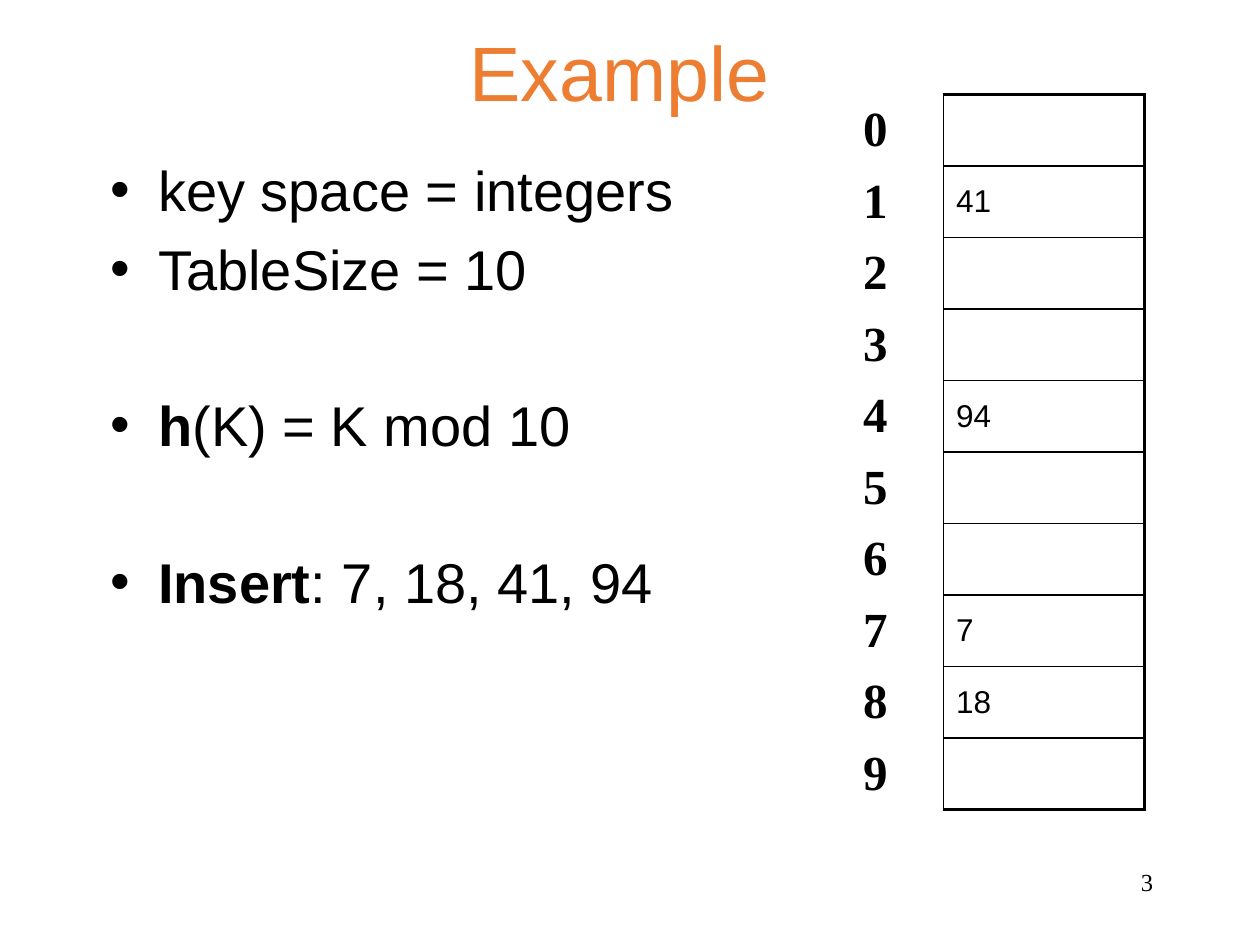
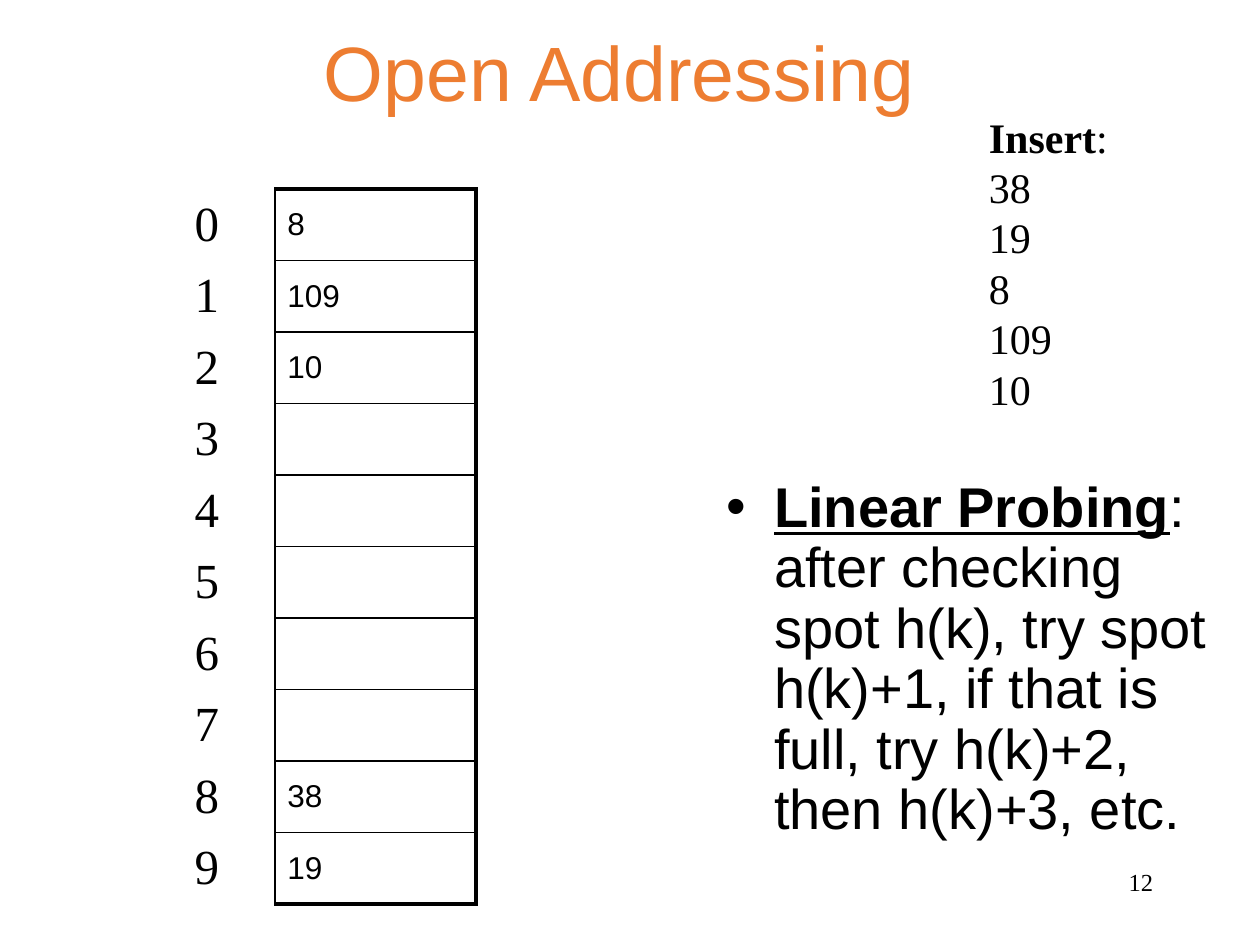
from dataclasses import dataclass

from lxml import etree
from pptx import Presentation
from pptx import util as u
from pptx.dml.color import RGBColor
from pptx.enum import text
from pptx.oxml import ns

COLORS = {"title": "ED7D31", "ink": "000000"}
SANS, SERIF = "Arial", "Times New Roman"
WIDTH, HEIGHT = u.Inches(10), u.Inches(7.5)
COLUMNS, ROWS = 120, 90
SLOT_ROWS = 6.8
INDEX_COLUMNS, KEY_COLUMNS = 8.85, 19.15
THIN, THICK = 1, 2.25


def col(count: float) -> int:
    return round(WIDTH * count / COLUMNS)


def row(count: float) -> int:
    return round(HEIGHT * count / ROWS)


@dataclass(frozen=True)
class Area:
    left: float
    top: float
    width: float
    height: float

    def emu(self) -> tuple[int, int, int, int]:
        return col(self.left), row(self.top), col(self.width), row(self.height)


@dataclass(frozen=True)
class Style:
    font: str
    size: float
    color: str = "ink"
    align: text.PP_ALIGN = text.PP_ALIGN.LEFT
    anchor: text.MSO_ANCHOR = text.MSO_ANCHOR.TOP
    bullet: bool = False
    wrap: bool = True


@dataclass(frozen=True)
class Run:
    words: str
    bold: bool = False
    underline: bool = False


@dataclass(frozen=True)
class Line:
    runs: tuple[Run, ...]
    before: float = 0
    spacing: float = 1


@dataclass(frozen=True)
class HashTable:
    left: float
    top: float
    keys: dict[int, int]
    bold_index: bool = False
    slots: int = 10


TITLE_AREA = Area(8, 2.25, 102, 9)
NUMBER_AREA = Area(86, 82, 25, 6)
TITLE = Style(SANS, 44, "title", text.PP_ALIGN.CENTER, text.MSO_ANCHOR.MIDDLE)
NUMBER = Style(SERIF, 14, align=text.PP_ALIGN.RIGHT)
BODY = Style(SANS, 32, bullet=True)
INSERTS = Style(SERIF, 24, wrap=False)
INDEX = Style(SERIF, 28)
KEY = Style(SANS, 18)


def add_bullet(paragraph) -> None:
    properties = paragraph._p.get_or_add_pPr()
    indent = u.Inches(0.38)
    properties.set("marL", str(indent))
    properties.set("indent", str(-indent))
    color = etree.SubElement(properties, ns.qn("a:buClr"))
    etree.SubElement(color, ns.qn("a:srgbClr"), val=COLORS["ink"])
    etree.SubElement(properties, ns.qn("a:buFont"), typeface=SANS)
    etree.SubElement(properties, ns.qn("a:buChar"), char="•")


def write(frame, lines: list[Line], style: Style) -> None:
    for position, line in enumerate(lines):
        paragraph = frame.add_paragraph() if position else frame.paragraphs[0]
        if style.bullet:
            add_bullet(paragraph)
        paragraph.alignment = style.align
        paragraph.line_spacing = line.spacing
        if line.before:
            paragraph.space_before = u.Pt(line.before)
        for part in line.runs:
            run = paragraph.add_run()
            run.text = part.words
            run.font.name = style.font
            run.font.size = u.Pt(style.size)
            run.font.bold = part.bold
            run.font.underline = part.underline
            run.font.color.rgb = RGBColor.from_string(COLORS[style.color])


def add_text(slide, area: Area, lines: list[Line], style: Style) -> None:
    frame = slide.shapes.add_textbox(*area.emu()).text_frame
    frame.word_wrap = style.wrap
    frame.vertical_anchor = style.anchor
    write(frame, lines, style)


def set_borders(cell, left: float, right: float, top: float, bottom: float) -> None:
    properties = cell._tc.get_or_add_tcPr()
    for side, width in zip("LRTB", (left, right, top, bottom)):
        border = etree.SubElement(properties, ns.qn(f"a:ln{side}"), w=str(u.Pt(width)))
        if width:
            fill = etree.SubElement(border, ns.qn("a:solidFill"))
            etree.SubElement(fill, ns.qn("a:srgbClr"), val=COLORS["ink"])
        else:
            etree.SubElement(border, ns.qn("a:noFill"))
    cell.fill.background()


def add_hash_table(slide, plan: HashTable) -> None:
    area = Area(plan.left, plan.top, INDEX_COLUMNS + KEY_COLUMNS, SLOT_ROWS * plan.slots)
    table = slide.shapes.add_table(plan.slots, 2, *area.emu()).table
    table.first_row = table.horz_banding = False
    table.columns[0].width = col(INDEX_COLUMNS)
    table.columns[1].width = col(KEY_COLUMNS)
    last = plan.slots - 1
    for slot in range(plan.slots):
        table.rows[slot].height = row(SLOT_ROWS)
        index_cell, key_cell = table.cell(slot, 0), table.cell(slot, 1)
        set_borders(index_cell, 0, THIN, 0, 0)
        set_borders(key_cell, THIN, THICK, THIN if slot else THICK,
                    THICK if slot == last else THIN)
        for cell in (index_cell, key_cell):
            cell.vertical_anchor = text.MSO_ANCHOR.MIDDLE
        write(index_cell.text_frame, [Line((Run(str(slot), plan.bold_index),))], INDEX)
        if slot in plan.keys:
            write(key_cell.text_frame, [Line((Run(str(plan.keys[slot])),))], KEY)


def start_slide(deck, title: str, number: int):
    slide = deck.slides.add_slide(deck.slide_layouts[6])
    add_text(slide, NUMBER_AREA, [Line((Run(str(number)),))], NUMBER)
    add_text(slide, TITLE_AREA, [Line((Run(title),))], TITLE)
    return slide


def build_example(deck) -> None:
    slide = start_slide(deck, "Example", 3)
    near, far = 6.4, 51
    facts = [
        Line((Run("key space = integers"),)),
        Line((Run("TableSize = 10"),), near),
        Line((Run("h", bold=True), Run("(K) = K mod 10")), far),
        Line((Run("Insert", bold=True), Run(": 7, 18, 41, 94")), far),
    ]
    add_text(slide, Area(9.33, 14.25, 102, 12.75), facts, BODY)
    add_hash_table(slide, HashTable(81, 9, {1: 41, 4: 94, 7: 7, 8: 18}, bold_index=True))


def build_open_addressing(deck) -> None:
    slide = start_slide(deck, "Open Addressing", 12)
    probing = Line((
        Run("Linear Probing", bold=True, underline=True),
        Run(": after checking spot h(k), try spot h(k)+1, if that is full, "
            "try h(k)+2, then h(k)+3, etc."),
    ), spacing=0.9)
    add_text(slide, Area(68, 45, 49, 36), [probing], BODY)
    add_hash_table(slide, HashTable(17.33, 18, {0: 8, 1: 109, 2: 10, 8: 38, 9: 19}))
    inserts = [Line((Run("Insert", bold=True), Run(":")))]
    inserts += [Line((Run(str(key)),)) for key in (38, 19, 8, 109, 10)]
    add_text(slide, Area(93, 10, 16.33, 30), inserts, INSERTS)


def main() -> None:
    deck = Presentation()
    deck.slide_width, deck.slide_height = WIDTH, HEIGHT
    build_example(deck)
    build_open_addressing(deck)
    deck.save("out.pptx")


if __name__ == "__main__":
    main()
